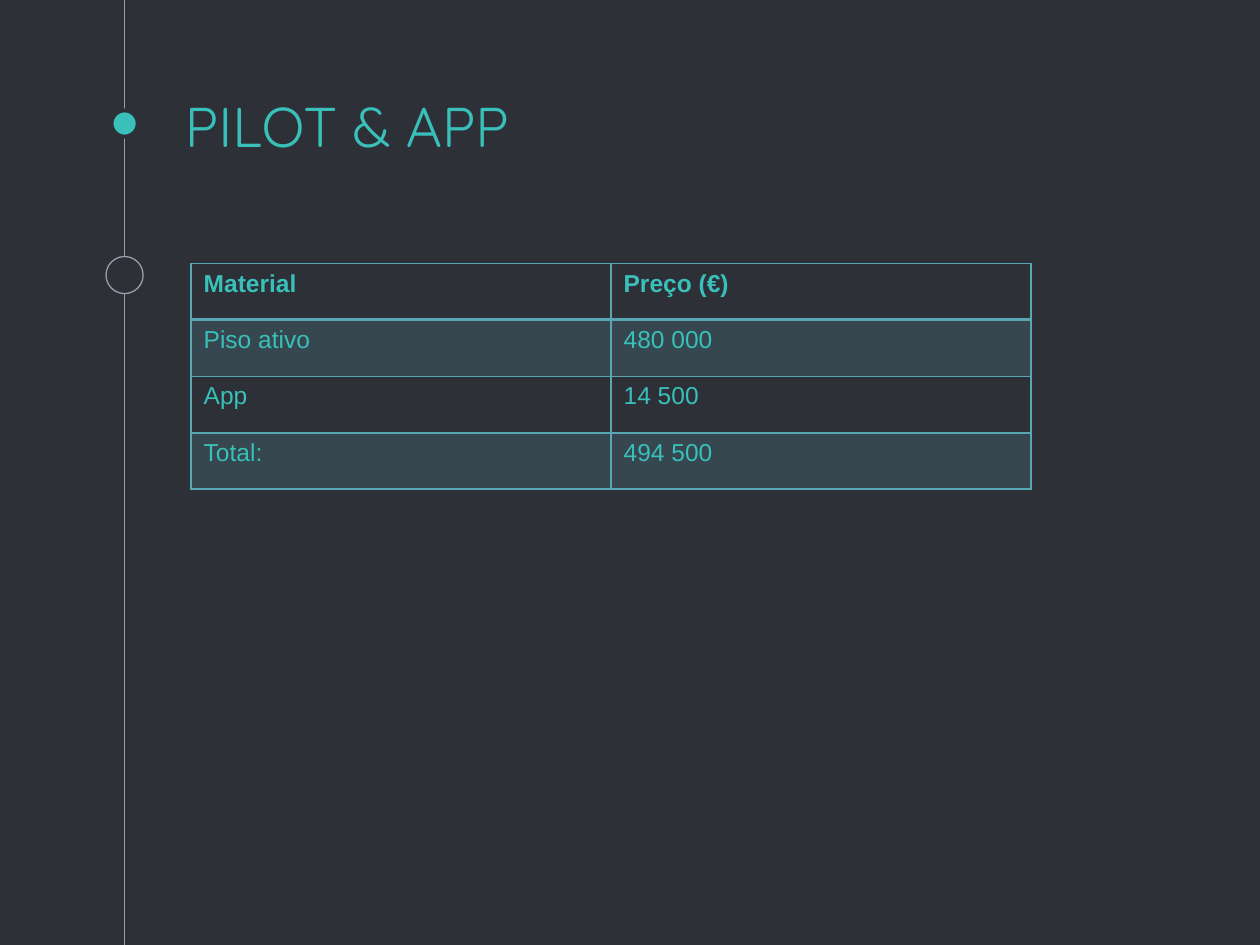
from dataclasses import dataclass

from lxml import etree
from pptx import Presentation
from pptx.dml.color import RGBColor
from pptx.enum import shapes, text
from pptx.oxml import ns
from pptx.util import Pt

DARK = RGBColor(0x2E, 0x30, 0x37)
GREY = RGBColor(0x99, 0x9F, 0xA9)
TEAL = RGBColor(0x39, 0xC0, 0xBA)
BLUE = RGBColor(0x57, 0xA7, 0xB5)

AXIS = 71.2
ROWS = [
    ("Material", "Preço (€)"),
    ("Piso ativo", "480 000"),
    ("App", "14 500"),
    ("Total:", "494 500"),
]


@dataclass
class Dot:
    mid: float
    size: float
    fill: RGBColor
    line: RGBColor
    width: float


DOTS = [
    Dot(70.6, 15, TEAL, DARK, 2.25),
    Dot(157.2, 21.2, DARK, GREY, 0.75),
]


def add_axis(slide) -> None:
    line = slide.shapes.add_connector(
        shapes.MSO_CONNECTOR.STRAIGHT, Pt(AXIS), Pt(-0.5), Pt(AXIS), Pt(540))
    line.line.color.rgb = GREY
    line.line.width = Pt(0.75)
    etree.SubElement(line._element.spPr, ns.qn("a:effectLst"))


def add_dot(slide, dot: Dot) -> None:
    half = dot.size / 2
    shape = slide.shapes.add_shape(
        shapes.MSO_SHAPE.OVAL, Pt(AXIS - half), Pt(dot.mid - half),
        Pt(dot.size), Pt(dot.size))
    shape.shadow.inherit = False
    shape.fill.solid()
    shape.fill.fore_color.rgb = dot.fill
    shape.line.color.rgb = dot.line
    shape.line.width = Pt(dot.width)


def add_run(par, words: str, font: str, size: float, bold: bool = False) -> None:
    run = par.add_run()
    run.text = words
    run.font.name = font
    run.font.size = Pt(size)
    run.font.bold = bold
    run.font.color.rgb = TEAL


def add_title(slide, words: str) -> None:
    box = slide.shapes.add_textbox(Pt(98.6), Pt(25.2), Pt(244.8), Pt(72.7))
    frame = box.text_frame
    frame.word_wrap = True
    frame.vertical_anchor = text.MSO_ANCHOR.BOTTOM
    frame.margin_left = frame.margin_right = Pt(7.2)
    frame.margin_top = frame.margin_bottom = Pt(7.2)
    add_run(frame.paragraphs[0], words, "Quicksand", 32)


def set_fill(cell, band: bool) -> None:
    """Tint a banded cell at 20 % opacity and leave the others clear."""
    if not band:
        cell.fill.background()
        return
    cell.fill.solid()
    cell.fill.fore_color.rgb = BLUE
    tint = cell._tc.tcPr.find(".//" + ns.qn("a:srgbClr"))
    etree.SubElement(tint, ns.qn("a:alpha"), val="20000")


def set_edges(cell, top: float, bottom: float) -> None:
    """Draw the four borders, which must come before the fill in the XML."""
    widths = {"L": 1, "R": 1, "T": top, "B": bottom}
    for spot, (side, width) in enumerate(widths.items()):
        edge = etree.Element(ns.qn(f"a:ln{side}"), w=str(Pt(width)))
        fill = etree.SubElement(edge, ns.qn("a:solidFill"))
        etree.SubElement(fill, ns.qn("a:srgbClr"), val=str(BLUE))
        cell._tc.tcPr.insert(spot, edge)


def add_prices(slide) -> None:
    table = slide.shapes.add_table(
        len(ROWS), 2, Pt(109.2), Pt(150.6), Pt(480), Pt(129)).table
    table.first_row = table.horz_banding = False
    for r, row in enumerate(ROWS):
        for c, words in enumerate(row):
            cell = table.cell(r, c)
            add_run(cell.text_frame.paragraphs[0], words, "Arial", 14, r == 0)
            set_fill(cell, r % 2 == 1)
            set_edges(cell, 2 if r == 1 else 1, 2 if r == 0 else 1)


def main() -> None:
    deck = Presentation()
    deck.slide_width, deck.slide_height = Pt(720), Pt(540)
    slide = deck.slides.add_slide(deck.slide_layouts[6])
    slide.background.fill.solid()
    slide.background.fill.fore_color.rgb = DARK
    add_axis(slide)
    for dot in DOTS:
        add_dot(slide, dot)
    add_prices(slide)
    add_title(slide, "PILOT & APP")
    deck.save("out.pptx")


if __name__ == "__main__":
    main()
